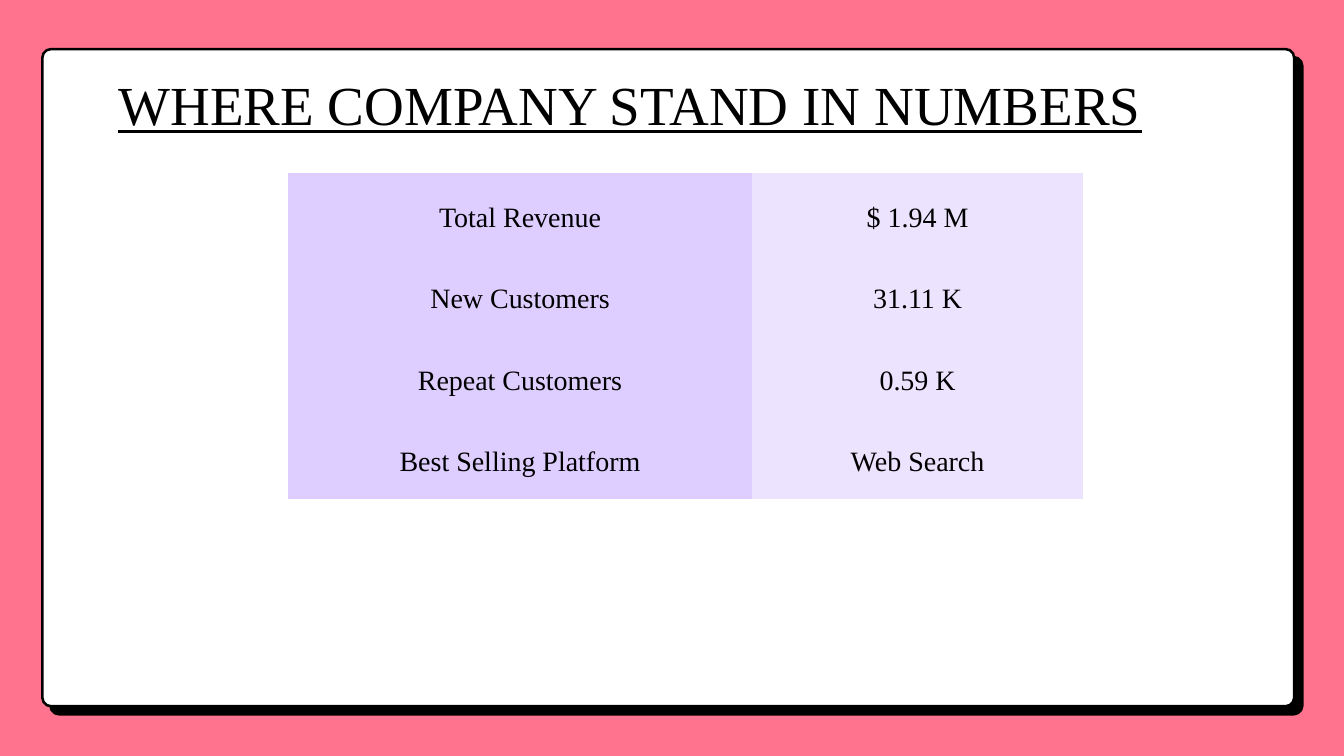
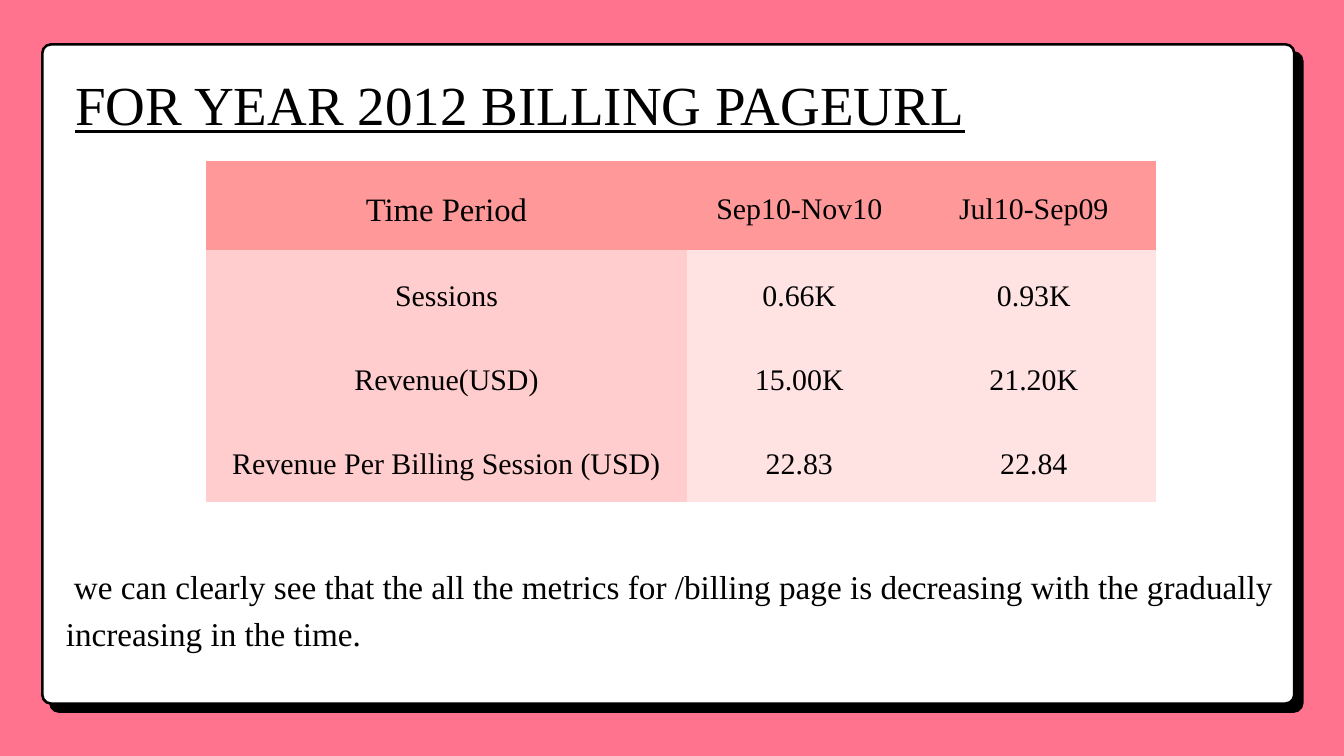
from lxml.etree import SubElement
from pptx import Presentation
from pptx.dml.color import RGBColor
from pptx.enum.shapes import MSO_SHAPE
from pptx.enum.text import MSO_ANCHOR, PP_ALIGN
from pptx.oxml.ns import qn
from pptx.util import Inches, Pt

FONT = "Times New Roman"
PINK = RGBColor(0xFF, 0x73, 0x8E)
BLACK = RGBColor(0x00, 0x00, 0x00)
WHITE = RGBColor(0xFF, 0xFF, 0xFF)
LILAC = RGBColor(0xDE, 0xCD, 0xFF)
PALE_LILAC = RGBColor(0xEC, 0xE3, 0xFF)
CORAL = RGBColor(0xFF, 0x99, 0x99)
ROSE = RGBColor(0xFF, 0xCD, 0xCD)
PALE_ROSE = RGBColor(0xFF, 0xE3, 0xE3)

CARD_LEFT, CARD_WIDTH = 0.63, 18.63
CORNER = 0.13
DROP = 0.12
CELL_PADDING = Inches(0.21)


def style_paragraph(para, text, size, leading, align=PP_ALIGN.LEFT):
    para.text = text
    para.alignment = align
    para.line_spacing = Pt(leading)
    para.font.name = FONT
    para.font.size = Pt(size)
    para.font.color.rgb = BLACK


def add_panel(page, left, top, width, height, fill):
    panel = page.shapes.add_shape(
        MSO_SHAPE.ROUNDED_RECTANGLE,
        Inches(left), Inches(top), Inches(width), Inches(height))
    panel.adjustments[0] = CORNER / height
    panel.shadow.inherit = False
    panel.fill.solid()
    panel.fill.fore_color.rgb = fill
    panel.line.color.rgb = BLACK
    panel.line.width = Pt(2.75)


def add_page(deck, card_top, card_height):
    """Pink page with a white card on a hard black drop shadow."""
    page = deck.slides.add_slide(deck.slide_layouts[6])
    page.background.fill.solid()
    page.background.fill.fore_color.rgb = PINK
    for shift, fill in ((DROP, BLACK), (0, WHITE)):
        add_panel(page, CARD_LEFT + shift, card_top + shift,
                  CARD_WIDTH, card_height, fill)
    return page


def add_text(page, left, top, width, height, text, size, leading,
             align=PP_ALIGN.LEFT):
    box = page.shapes.add_textbox(
        Inches(left), Inches(top), Inches(width), Inches(height))
    frame = box.text_frame
    frame.word_wrap = True
    frame.margin_left = frame.margin_right = 0
    frame.margin_top = frame.margin_bottom = 0
    para = frame.paragraphs[0]
    style_paragraph(para, text, size, leading, align)
    return para


def add_title(page, text, align):
    para = add_text(page, 1.12, 0.88, 16.51, 1.23, text, 59, 82.6, align)
    para.font.underline = True


def clear_borders(cell):
    properties = cell._tc.get_or_add_tcPr()
    for position, side in enumerate(("lnL", "lnR", "lnT", "lnB")):
        line = SubElement(properties, qn(f"a:{side}"), w="0")
        SubElement(line, qn("a:noFill"))
        properties.insert(position, line)


def add_metrics(page, left, top, columns, heights, rows, size, fill_of,
                corner_size=None):
    """Table of centred text; fill_of(row, column) gives the cell colour."""
    table = page.shapes.add_table(
        len(rows), len(columns), Inches(left), Inches(top),
        Inches(sum(columns)), Inches(sum(heights))).table
    table.first_row = table.horz_banding = False
    for column, width in zip(table.columns, columns):
        column.width = Inches(width)
    for row, height in zip(table.rows, heights):
        row.height = Inches(height)
    for r, values in enumerate(rows):
        for c, text in enumerate(values):
            cell = table.cell(r, c)
            cell.fill.solid()
            cell.fill.fore_color.rgb = fill_of(r, c)
            clear_borders(cell)
            cell.vertical_anchor = MSO_ANCHOR.MIDDLE
            cell.margin_left = cell.margin_right = CELL_PADDING
            cell.margin_top = cell.margin_bottom = CELL_PADDING
            cell_size = corner_size if corner_size and r == c == 0 else size
            style_paragraph(cell.text_frame.paragraphs[0], text, cell_size,
                            cell_size * 1.4, PP_ALIGN.CENTER)


def company_fill(row, column):
    return PALE_LILAC if column else LILAC


def billing_fill(row, column):
    if row == 0:
        return CORAL
    return PALE_ROSE if column else ROSE


def build_company_page(deck):
    page = add_page(deck, 0.73, 9.78)
    add_title(page, "WHERE COMPANY STAND IN NUMBERS", PP_ALIGN.CENTER)
    rows = [
        ("Total Revenue", "$ 1.94 M"),
        ("New Customers", "31.11 K"),
        ("Repeat Customers", "0.59 K"),
        ("Best Selling Platform", "Web Search"),
    ]
    add_metrics(page, 4.29, 2.58, (6.9, 4.93), [1.21] * 4, rows, 30,
                company_fill)


def build_billing_page(deck):
    page = add_page(deck, 0.66, 9.81)
    rows = [
        ("Time Period", "Sep10-Nov10", "Jul10-Sep09"),
        ("Sessions", "0.66K", "0.93K"),
        ("Revenue(USD)", "15.00K", "21.20K"),
        ("Revenue Per Billing Session (USD)", "22.83", "22.84"),
    ]
    add_metrics(page, 3.06, 2.39, (7.17, 3.33, 3.65), [1.33] + [1.25] * 3,
                rows, 32, billing_fill, corner_size=35)
    note = add_text(
        page, 0.98, 8.33, 18.32, 1.42,
        "we can clearly see that the all the metrics for /billing page is "
        "decreasing with the gradually increasing in the time.", 35.6, 49.8)
    note._p.get_or_add_pPr().set("indent", str(Inches(0.12)))
    add_title(page, "FOR YEAR 2012 BILLING PAGEURL", PP_ALIGN.LEFT)


def main():
    deck = Presentation()
    deck.slide_width, deck.slide_height = Inches(20), Inches(11.25)
    build_company_page(deck)
    build_billing_page(deck)
    deck.save("out.pptx")


if __name__ == "__main__":
    main()
